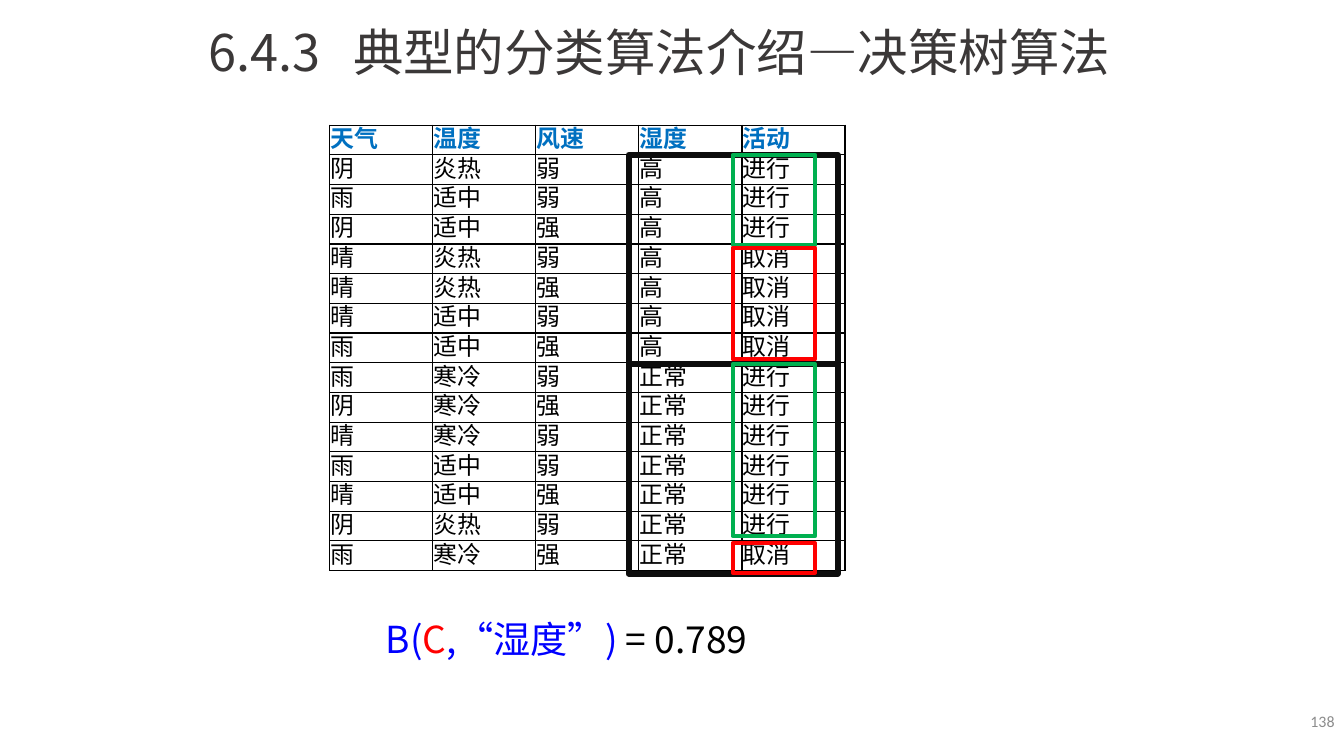
from lxml.etree import SubElement
from pptx import Presentation
from pptx.dml.color import RGBColor as RGB
from pptx.enum.shapes import MSO_SHAPE as SHAPE
from pptx.enum.text import MSO_ANCHOR as ANCHOR, PP_ALIGN as ALIGN
from pptx.oxml.ns import qn
from pptx.util import Inches, Pt

COLORS = {"black": "000000", "ink": "3B3838", "gray": "8C8C8C", "header": "0070C0",
          "frame": "0D0D0D", "green": "00B050", "red": "FF0000", "blue": "0000FF"}
WEATHER = """天气 温度 风速 湿度 活动
阴 炎热 弱 高 进行
雨 适中 弱 高 进行
阴 适中 强 高 进行
晴 炎热 弱 高 取消
晴 炎热 强 高 取消
晴 适中 弱 高 取消
雨 适中 强 高 取消
雨 寒冷 弱 正常 进行
阴 寒冷 强 正常 进行
晴 寒冷 弱 正常 进行
雨 适中 弱 正常 进行
晴 适中 强 正常 进行
阴 炎热 弱 正常 进行
雨 寒冷 强 正常 取消"""


class Deck:
    width, height = 14.06, 7.91
    left, top = 3.45, 1.31
    col, row = 5.39 / 5, 4.66 / 15
    font = "Noto Sans CJK SC"

    def __init__(self):
        self.prs = Presentation()
        self.prs.slide_width = Inches(self.width)
        self.prs.slide_height = Inches(self.height)
        self.slide = self.prs.slides.add_slide(self.prs.slide_layouts[6])

    def color(self, name):
        return RGB.from_string(COLORS[name])

    def format(self, r, size, color, bold=False, font=None):
        r.font.size, r.font.bold = Pt(size), bold
        r.font.color.rgb = self.color(color)
        r.font.name = font or self.font
        SubElement(r.font._element, qn("a:ea"), typeface=self.font)

    def cells(self, col, row, cols, rows):
        return (Inches(self.left + col * self.col), Inches(self.top + row * self.row),
                Inches(cols * self.col), Inches(rows * self.row))

    def text(self, x, y, w, h, runs, size, align=ALIGN.LEFT, anchor=ANCHOR.MIDDLE, font=None):
        box = (Inches(x * self.width), Inches(y * self.height),
               Inches(w * self.width), Inches(h * self.height))
        tf = self.slide.shapes.add_textbox(*box).text_frame
        tf.word_wrap, tf.vertical_anchor = True, anchor
        p = tf.paragraphs[0]
        p.alignment = align
        for words, color, spacing in runs:
            r = p.add_run()
            r.text = words
            self.format(r, size, color, font=font)
            if spacing:
                r.font._element.set("spc", str(spacing * 100))

    def border(self, cell):
        tc_pr = cell._tc.get_or_add_tcPr()
        for i, side in enumerate(("lnL", "lnR", "lnT", "lnB")):
            ln = tc_pr.makeelement(qn(f"a:{side}"), {"w": str(Pt(1))})
            fill = SubElement(ln, qn("a:solidFill"))
            SubElement(fill, qn("a:srgbClr"), val=COLORS["black"])
            tc_pr.insert(i, ln)

    def table(self, data):
        rows, cols = len(data), len(data[0])
        table = self.slide.shapes.add_table(rows, cols, *self.cells(0, 0, cols, rows)).table
        for column in table.columns:
            column.width = Inches(self.col)
        for i, values in enumerate(data):
            table.rows[i].height = Inches(self.row)
            for j, value in enumerate(values):
                cell = table.cell(i, j)
                cell.fill.background()
                cell.vertical_anchor = ANCHOR.MIDDLE
                cell.margin_left = cell.margin_right = cell.margin_top = Inches(0.01)
                cell.margin_bottom = 0
                p = cell.text_frame.paragraphs[0]
                p.text = value
                p.line_spacing = Pt(21)
                self.format(p.runs[0], 18, "black" if i else "header", bold=i == 0)
                self.border(cell)

    def frame(self, col, row, cols, rows, color, weight):
        sp = self.slide.shapes.add_shape(SHAPE.RECTANGLE, *self.cells(col, row, cols, rows))
        sp.shadow.inherit = False
        sp.fill.background()
        sp.line.color.rgb = self.color(color)
        sp.line.width = Pt(weight)


def main():
    deck = Deck()
    deck.text(0.775, 0.927, 0.225, 0.053, [("138", "gray", 0)], 12, ALIGN.RIGHT, font="Calibri")
    deck.text(0.148, 0.021, 0.71, 0.095,
              [("6.4.3", "ink", 0), (" ", "ink", 16), ("典型的分类算法介绍—决策树算法", "ink", 0)],
              38, anchor=ANCHOR.TOP)
    deck.table([line.split() for line in WEATHER.splitlines()])
    for row in (1, 8.05):
        deck.frame(2.9, row, 2.03, 7.05, "frame", 4.5)
    for row, rows, color in ((1, 3.03, "green"), (8.05, 5.79, "green"),
                             (4.12, 3.77, "red"), (14.07, 1, "red")):
        deck.frame(3.91, row, 0.8, rows, color, 3)
    deck.text(0.28, 0.809, 0.32, 0.072,
              [("B(", "blue", 0), ("C", "red", 0), (",“湿度”) ", "blue", 0), ("= 0.789", "black", 0)],
              28)
    deck.prs.save("out.pptx")


if __name__ == "__main__":
    main()
